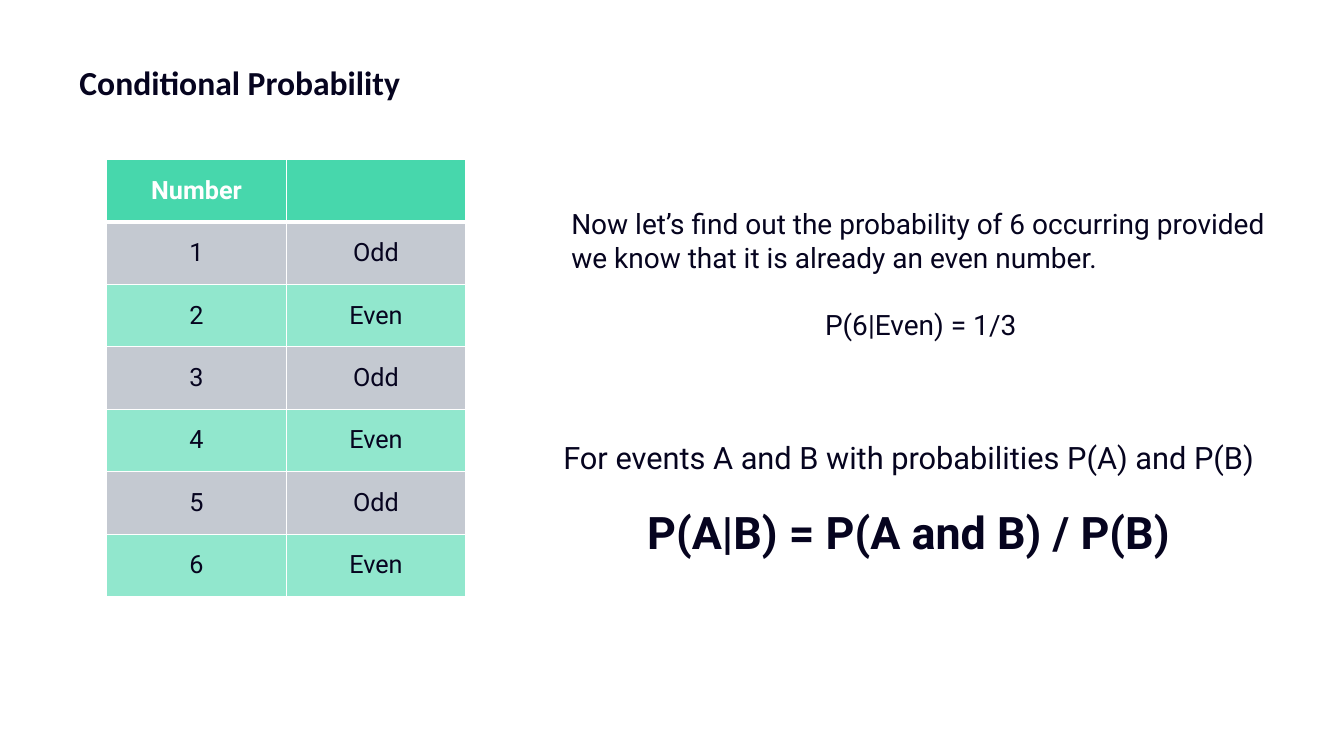
from dataclasses import dataclass

from lxml.etree import SubElement
from pptx import Presentation
from pptx.dml.color import RGBColor as Color
from pptx.enum.text import MSO_ANCHOR as Anchor, PP_ALIGN as Align
from pptx.oxml.ns import qn
from pptx.util import Pt


@dataclass(frozen=True)
class Theme:
    ink: str = "06041F"
    white: str = "FFFFFF"
    header: str = "47D7AC"
    odd: str = "C4C9D1"
    even: str = "91E7CD"
    heading_font: str = "Calibri"
    body_font: str = "Roboto"
    title: int = 24
    cell: int = 18
    body: int = 20
    lead: int = 22
    formula: int = 32
    thin: int = 1
    thick: int = 3


THEME = Theme()
SLIDE_SIZE = (960, 540)
TITLE = "Conditional Probability"
HEADER = ("Number", "")
PARITY = [(str(n), "Even" if n % 2 == 0 else "Odd") for n in range(1, 7)]
TABLE_AT = (76.3, 113.8)
COLUMN_WIDTH, ROW_HEIGHT = 128.2, 44.64

TEXT_BOXES = [
    ((49.7, 38.2, 566.6, 38.2), (7.2, 5.76, 7.2, 3.6), [
        (TITLE, THEME.title, True, Align.LEFT, 0, THEME.heading_font),
    ]),
    ((401, 144, 513.4, 126), (7.2, 3.6, 7.2, 3.6), [
        ("Now let’s find out the probability of 6 occurring provided "
         "we know that it is already an even number.",
         THEME.body, False, Align.LEFT, 0, THEME.body_font),
        ("P(6|Even) = 1/3", THEME.body, False, Align.CENTER, 24, THEME.body_font),
    ]),
    ((392.4, 309.6, 513.4, 94.3), (7.2, 3.6, 7.2, 3.6), [
        ("For events A and B with probabilities P(A) and P(B)",
         THEME.lead, False, Align.CENTER, 0, THEME.body_font),
        ("P(A|B) = P(A and B) / P(B)",
         THEME.formula, True, Align.CENTER, 21, THEME.body_font),
    ]),
]


def add_run(para, text, size, bold, font_name, color):
    span = para.add_run()
    span.text = text
    font = span.font
    font.size, font.bold, font.name = Pt(size), bold, font_name
    font.color.rgb = Color.from_string(color)


def add_text_box(page, place, insets, paragraphs):
    frame = page.shapes.add_textbox(*map(Pt, place)).text_frame
    frame.word_wrap = True
    (frame.margin_left, frame.margin_top,
     frame.margin_right, frame.margin_bottom) = map(Pt, insets)
    for index, (text, size, bold, align, gap, font_name) in enumerate(paragraphs):
        para = frame.add_paragraph() if index else frame.paragraphs[0]
        para.alignment = align
        para.space_before = Pt(gap)
        add_run(para, text, size, bold, font_name, THEME.ink)


def set_borders(cell, top, bottom):
    properties = cell._tc.get_or_add_tcPr()
    sides = {"lnL": THEME.thin, "lnR": THEME.thin, "lnT": top, "lnB": bottom}
    for side, width in sides.items():
        line = SubElement(properties, qn(f"a:{side}"), w=str(Pt(width)))
        fill = SubElement(line, qn("a:solidFill"))
        SubElement(fill, qn("a:srgbClr"), val=THEME.white)


def add_parity_table(page):
    rows = [HEADER, *PARITY]
    columns = len(HEADER)
    size = (COLUMN_WIDTH * columns, ROW_HEIGHT * len(rows))
    table = page.shapes.add_table(
        len(rows), columns, *map(Pt, TABLE_AT + size)).table
    for column in table.columns:
        column.width = Pt(COLUMN_WIDTH)
    for number, values in enumerate(rows):
        table.rows[number].height = Pt(ROW_HEIGHT)
        is_header = number == 0
        band = THEME.header if is_header else (THEME.odd if number % 2 else THEME.even)
        top = THEME.thick if number == 1 else THEME.thin
        bottom = THEME.thick if is_header else THEME.thin
        for index, value in enumerate(values):
            cell = table.cell(number, index)
            cell.vertical_anchor = Anchor.MIDDLE
            set_borders(cell, top, bottom)
            cell.fill.solid()
            cell.fill.fore_color.rgb = Color.from_string(band)
            para = cell.text_frame.paragraphs[0]
            para.alignment = Align.CENTER
            if value:
                add_run(para, value, THEME.cell, is_header, THEME.body_font,
                        THEME.white if is_header else THEME.ink)


def main():
    deck = Presentation()
    deck.slide_width, deck.slide_height = map(Pt, SLIDE_SIZE)
    page = deck.slides.add_slide(deck.slide_layouts[6])
    add_parity_table(page)
    for place, insets, paragraphs in TEXT_BOXES:
        add_text_box(page, place, insets, paragraphs)
    deck.save("out.pptx")


if __name__ == "__main__":
    main()
